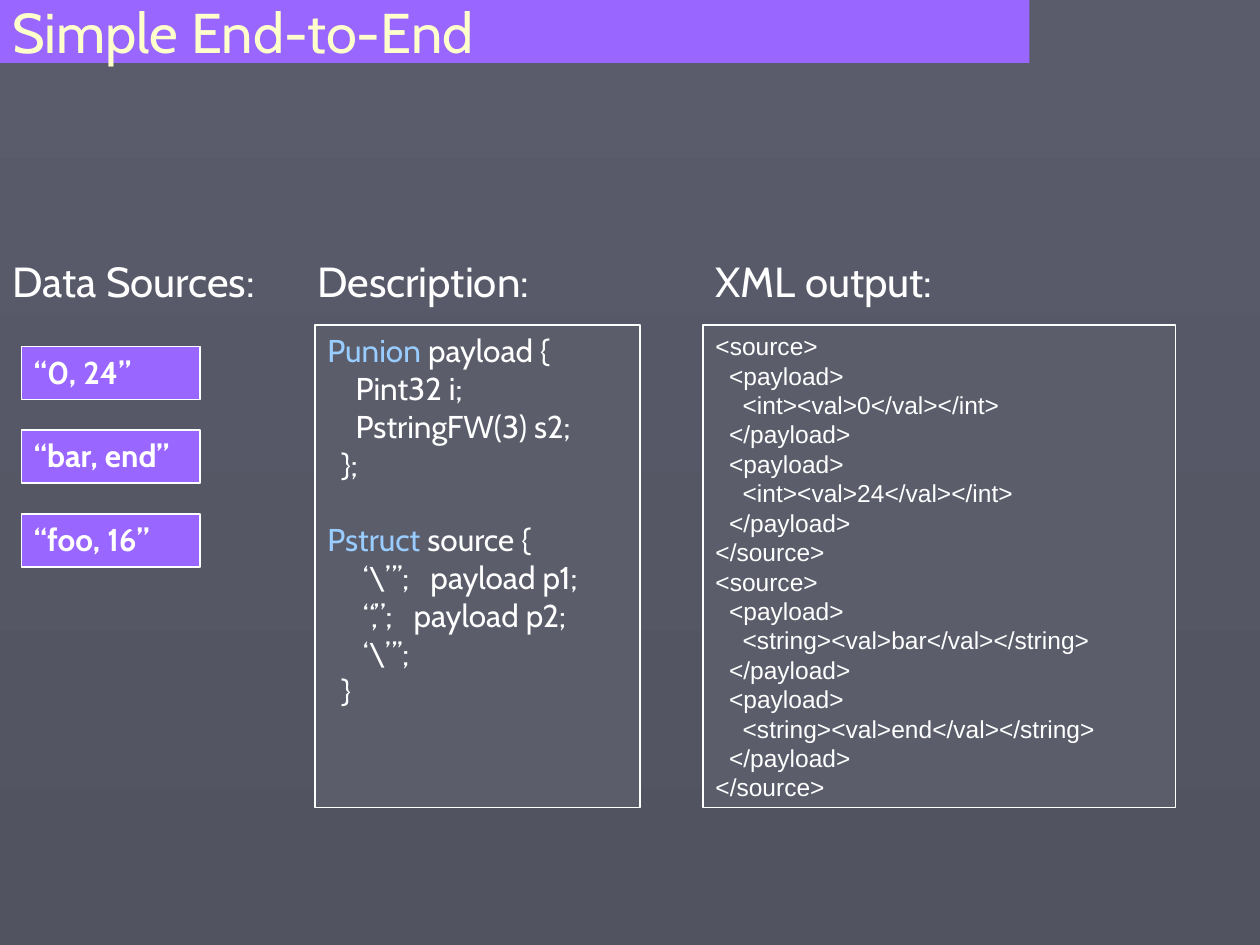
from pptx import Presentation
from pptx.dml.color import RGBColor
from pptx.enum import shapes, text
from pptx.util import Inches, Pt

COLORS = {
    "top": "5A5C6C", "bottom": "515361", "panel": "5B5D6B", "accent": "9966FF",
    "title": "FFFFCC", "white": "FFFFFF", "keyword": "99CCFF",
}

# Content
TITLE = "Simple End-to-End"
HEADINGS = [("Data Sources:", 0, 2.5), ("Description:", 2.42, 2.17), ("XML output:", 5.58, 2.17)]
SOURCES = ["“0, 24”", "“bar, end”", "“foo, 16”"]
KEYWORDS = ("Punion", "Pstruct")
DECLARATIONS = [
    ["Punion payload {", "    Pint32 i;", "    PstringFW(3) s2;", "  };"],
    ["Pstruct source {", "     ‘\\”’;   payload p1;", "     “,”;   payload p2;",
     "     ‘\\”’;", "  }"],
]
RECORDS = [("int", ["0", "24"]), ("string", ["bar", "end"])]

# Layout, in inches
PANEL_TOP, PANEL_HEIGHT = 2.58, 3.83
SOURCE_TOP, SOURCE_PITCH = 2.75, 0.665
DECLARATION_GAP = 21.6  # points, one line of code


def color(name):
    return RGBColor.from_string(COLORS[name])


def add_box(slide, left, top, width, height, fill=None, outlined=False):
    shape = slide.shapes.add_shape(
        shapes.MSO_SHAPE.RECTANGLE, *map(Inches, (left, top, width, height)))
    shape.shadow.inherit = False
    shape.fill.solid()
    shape.fill.fore_color.rgb = color(fill)
    if outlined:
        shape.line.color.rgb = color("white")
        shape.line.width = Pt(1)
    else:
        shape.line.fill.background()
    return shape


def write(shape, lines, size, font="Cabin", ink="white", bold=False,
          anchor=text.MSO_ANCHOR.TOP, gaps=()):
    """Write one paragraph per line; gaps holds the lines set off from the one above."""
    frame = shape.text_frame
    frame.word_wrap = True
    frame.vertical_anchor = anchor
    for index, line in enumerate(lines):
        paragraph = frame.paragraphs[0] if index == 0 else frame.add_paragraph()
        paragraph.alignment = text.PP_ALIGN.LEFT
        if index in gaps:
            paragraph.space_before = Pt(DECLARATION_GAP)
        keyword = next((word for word in KEYWORDS if line.startswith(word)), "")
        for part, tint in ((keyword, "keyword"), (line[len(keyword):], ink)):
            if part:
                run = paragraph.add_run()
                run.text = part
                run.font.name = font
                run.font.size = Pt(size)
                run.font.bold = bold
                run.font.color.rgb = color(tint)


def xml_lines():
    lines = []
    for tag, values in RECORDS:
        lines.append("<source>")
        for value in values:
            lines += ["  <payload>", f"    <{tag}><val>{value}</val></{tag}>", "  </payload>"]
        lines.append("</source>")
    return lines


def main():
    presentation = Presentation()
    presentation.slide_width, presentation.slide_height = Inches(10), Inches(7.5)
    slide = presentation.slides.add_slide(presentation.slide_layouts[6])

    # Background
    background = slide.background.fill
    background.gradient()
    background.gradient_angle = 270
    for stop, name in zip(background.gradient_stops, ("top", "bottom")):
        stop.color.rgb = color(name)

    # Title bar
    write(add_box(slide, 0, 0, 8.17, 0.5, fill="accent"), [TITLE], 32,
          ink="title", anchor=text.MSO_ANCHOR.MIDDLE)

    # Column headings
    for heading, left, width in HEADINGS:
        box = slide.shapes.add_textbox(*map(Inches, (left, 1.98, width, 0.5)))
        write(box, [heading], 24)

    # Data sources
    for index, source in enumerate(SOURCES):
        top = SOURCE_TOP + index * SOURCE_PITCH
        box = add_box(slide, 0.17, top, 1.42, 0.42, fill="accent", outlined=True)
        write(box, [source], 18, bold=True)

    # Description panel
    panel = add_box(slide, 2.5, PANEL_TOP, 2.58, PANEL_HEIGHT, fill="panel", outlined=True)
    write(panel, sum(DECLARATIONS, []), 18, gaps=[len(DECLARATIONS[0])])

    # XML panel
    panel = add_box(slide, 5.58, PANEL_TOP, 3.75, PANEL_HEIGHT, fill="panel", outlined=True)
    write(panel, xml_lines(), 14, font="Arial")

    presentation.save("out.pptx")


if __name__ == "__main__":
    main()
